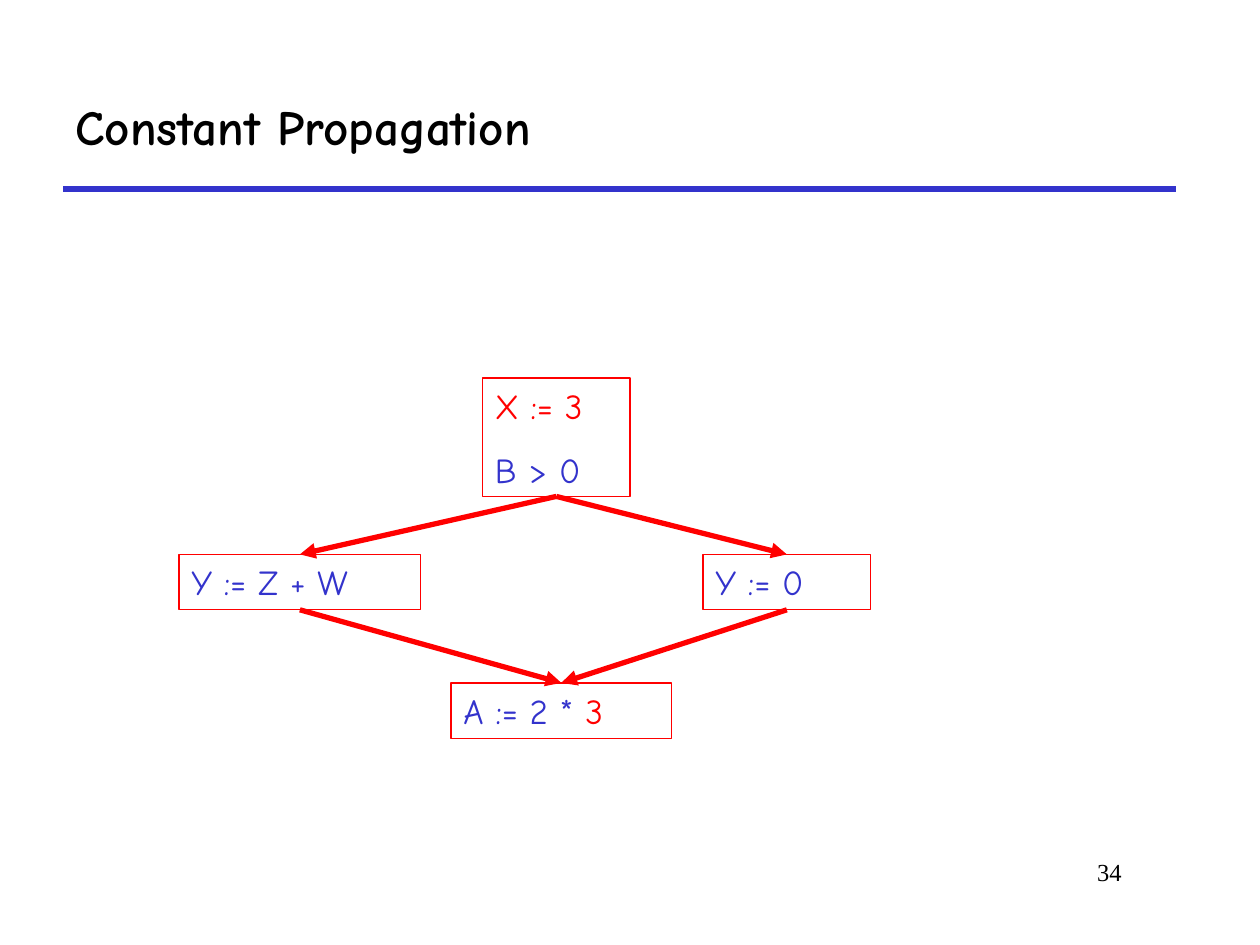
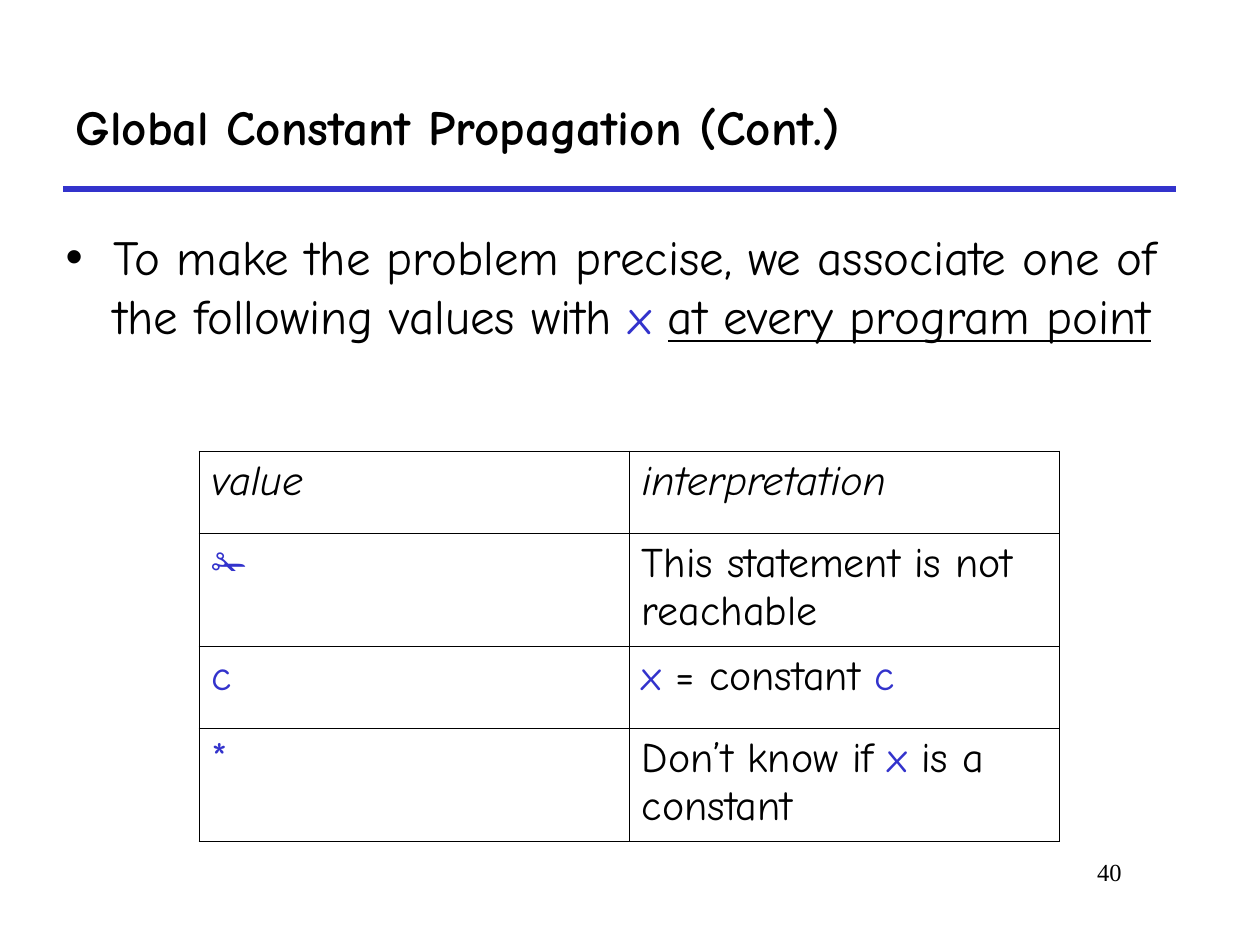
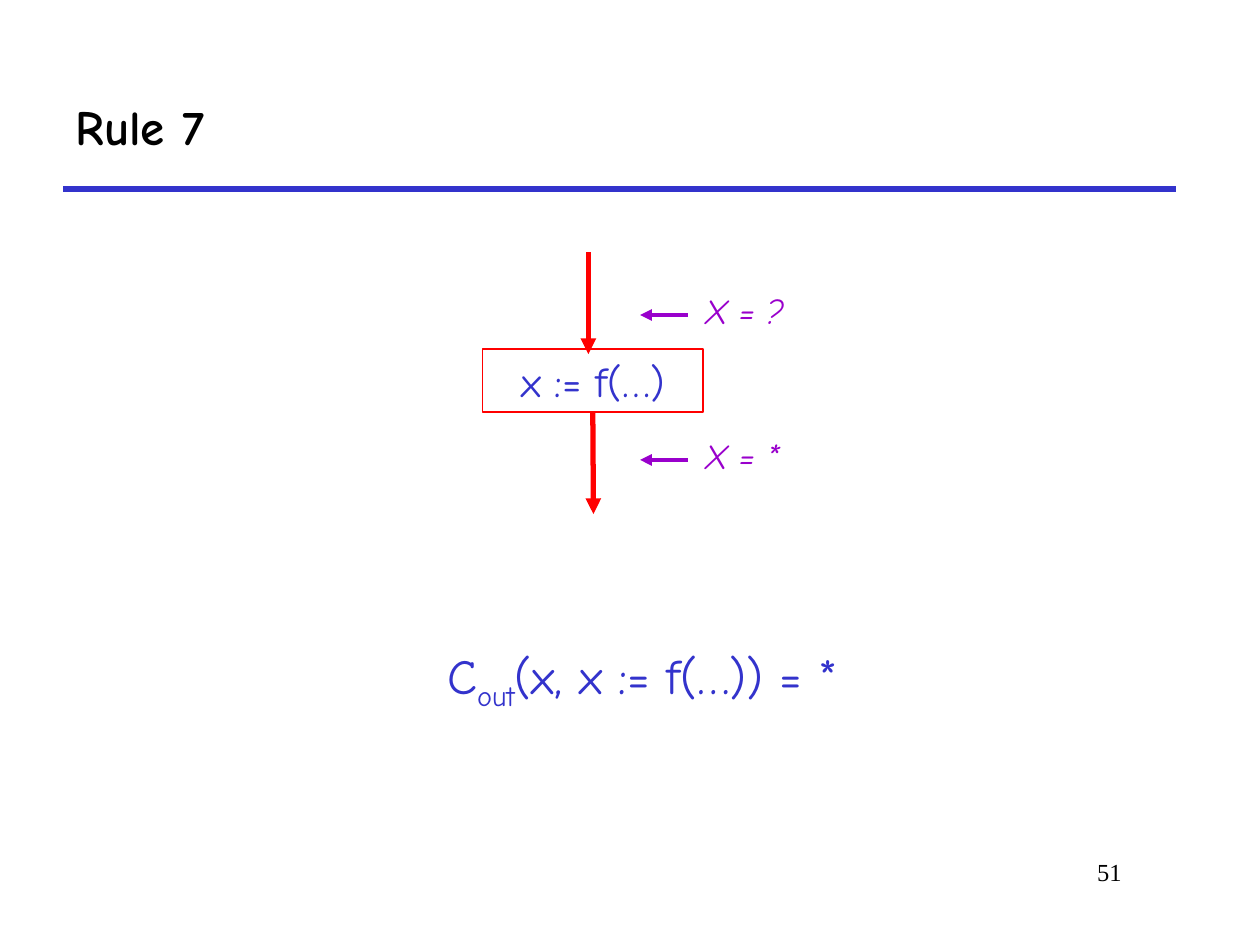
from lxml.etree import SubElement
from pptx import Presentation
from pptx.dml.color import RGBColor
from pptx.enum.shapes import MSO_CONNECTOR, MSO_SHAPE
from pptx.enum.text import MSO_ANCHOR, MSO_AUTO_SIZE, PP_ALIGN
from pptx.oxml.ns import qn
from pptx.util import Inches, Pt

BLACK = RGBColor(0x00, 0x00, 0x00)
BLUE = RGBColor(0x33, 0x33, 0xCC)
RED = RGBColor(0xFF, 0x00, 0x00)
PURPLE = RGBColor(0x99, 0x00, 0xCC)
BODY_FONT = "Comic Neue"
NUMBER_FONT = "Times New Roman"
SYMBOL_FONT = "Calibri"
TITLE_ONLY, TITLE_AND_BODY = 5, 1
TOP, BOTTOM = 0, 2


def format_span(span, size=20, font=BODY_FONT, color=BLACK, bold=False,
                italic=False, underline=False, baseline=0):
    span.font.size = Pt(size)
    span.font.name = font
    span.font.color.rgb = color
    span.font.bold = bold
    span.font.italic = italic
    span.font.underline = underline
    if baseline:
        span.font._element.set("baseline", str(baseline))


def write(frame, *lines, align=PP_ALIGN.LEFT, gap=0, bullet=None, indent=0,
          anchor=MSO_ANCHOR.TOP, fit=MSO_AUTO_SIZE.NONE, **style):
    frame.word_wrap = True
    frame.auto_size = fit
    frame.vertical_anchor = anchor
    for number, line in enumerate(lines):
        para = frame.add_paragraph() if number else frame.paragraphs[0]
        properties = para._p.get_or_add_pPr()
        properties.set("marL", str(Inches(indent)))
        properties.set("indent", str(-Inches(indent)))
        if bullet:
            SubElement(properties, qn("a:buChar"), char=bullet)
        else:
            SubElement(properties, qn("a:buNone"))
        para.alignment = align
        para.space_before = Pt(gap if number else 0)
        for part in [line] if isinstance(line, str) else line:
            text, changes = (part, {}) if isinstance(part, str) else part
            span = para.add_run()
            span.text = text
            format_span(span, **{**style, **changes})


def place(shape, left, top, width, height):
    shape.left, shape.top = Inches(left), Inches(top)
    shape.width, shape.height = Inches(width), Inches(height)


def add_line(canvas, start, end, color, weight=3, arrow=True):
    line = canvas.add_connector(MSO_CONNECTOR.STRAIGHT,
                                *[Inches(value) for value in (*start, *end)])
    line.line.color.rgb = color
    line.line.width = Pt(weight)
    if arrow:
        SubElement(line.line._get_or_add_ln(), qn("a:tailEnd"), type="triangle")
    SubElement(line.element.spPr, qn("a:effectLst"))
    return line


def add_text(canvas, box, *lines, **style):
    label = canvas.add_textbox(*[Inches(value) for value in box])
    write(label.text_frame, *lines, **style)


def add_statement(page, box, *lines, **style):
    statement = page.shapes.add_shape(MSO_SHAPE.RECTANGLE,
                                      *[Inches(value) for value in box])
    statement.shadow.inherit = False
    statement.fill.background()
    statement.line.color.rgb = RED
    statement.line.width = Pt(0.75)
    write(statement.text_frame, *lines, fit=MSO_AUTO_SIZE.SHAPE_TO_FIT_TEXT,
          **{"color": BLUE, "gap": 12.5, **style})
    return statement


def add_page(deck, layout, title, number):
    page = deck.slides.add_slide(deck.slide_layouts[layout])
    place(page.shapes.title, 0.5, 0.5, 8.83, 1)
    write(page.shapes.title.text_frame, title, size=28, bold=True,
          anchor=MSO_ANCHOR.MIDDLE)
    add_text(page.shapes, (6.92, 6.75, 2.08, 0.5), number, size=14,
             font=NUMBER_FONT, align=PP_ALIGN.RIGHT)
    return page


def add_master_rule(deck, page):
    rule = add_line(page.shapes, (0.5, 1.5), (9.33, 1.5), BLUE, arrow=False)
    deck.slide_master.shapes.element.append(rule.element)


def add_flow_graph(page, left, top):
    branch = add_statement(page, (left + 2.41, top, 1.17, 0.94),
                           [("X := 3", {"color": RED})], "B > 0")
    sides = [add_statement(page, (left + offset, top + 1.4, width, 0.44), text)
             for offset, width, text in ((0, 1.92, "Y := Z + W"),
                                         (4.16, 1.33, "Y := 0"))]
    join = add_statement(page, (left + 2.16, top + 2.42, 1.75, 0.44),
                         ["A := 2 * ", ("3", {"color": RED})])
    for source, target in ([(branch, side) for side in sides]
                           + [(side, join) for side in sides]):
        arrow = add_line(page.shapes, (left, top), (left, top), RED)
        arrow.begin_connect(source, BOTTOM)
        arrow.end_connect(target, TOP)


def add_border(cell):
    properties = cell._tc.get_or_add_tcPr()
    for side in ("lnL", "lnR", "lnT", "lnB"):
        border = SubElement(properties, qn(f"a:{side}"), w=str(Pt(0.45)))
        fill = SubElement(border, qn("a:solidFill"))
        SubElement(fill, qn("a:srgbClr"), val=str(BLACK))


def add_value_table(page, left, top, width):
    blue = {"color": BLUE}
    italic = {"italic": True}
    rows = [
        (0.65, [("value", italic)], [("interpretation", italic)]),
        (0.9, [("✁", {"color": BLUE, "font": SYMBOL_FONT})],
         "This statement is not reachable"),
        (0.65, [("c", blue)], [("x", blue), " = constant ", ("c", blue)]),
        (0.9, [("*", blue)], ["Don’t know if", (" x", blue), " is a constant"]),
    ]
    height = sum(row[0] for row in rows)
    table = page.shapes.add_table(len(rows), 2, Inches(left), Inches(top),
                                  Inches(width), Inches(height)).table
    table.first_row = table.horz_banding = False
    for row, (row_height, *texts) in zip(table.rows, rows):
        row.height = Inches(row_height)
        for cell, text in zip(row.cells, texts):
            add_border(cell)
            cell.fill.background()
            write(cell.text_frame, text, size=24)


def add_state(page, left, top, text):
    group = page.shapes.add_group_shape().shapes
    add_text(group, (left + 0.42, top, 1.33, 0.44), text, size=20,
             color=PURPLE, italic=True, fit=MSO_AUTO_SIZE.SHAPE_TO_FIT_TEXT)
    add_line(group, (left + 0.38, top + 0.25), (left, top + 0.25), PURPLE, 2.25)


def add_transfer_diagram(page, left, top):
    call = add_statement(page, (left, top + 0.77, 1.75, 0.5), "x := f(…)",
                         size=24, align=PP_ALIGN.CENTER)
    leaving = add_line(page.shapes, (left + 0.88, top + 1.27),
                       (left + 0.88, top + 2.08), RED)
    leaving.begin_connect(call, BOTTOM)
    add_line(page.shapes, (left + 0.84, top), (left + 0.84, top + 0.81), RED)
    for offset, text in ((0.25, "X = ?"), (1.4, "X = *")):
        add_state(page, left + 1.25, top + offset, text)


def build_example(deck):
    page = add_page(deck, TITLE_ONLY, "Constant Propagation", "34")
    add_master_rule(deck, page)
    add_flow_graph(page, 1.42, 3)


def build_values(deck):
    page = add_page(deck, TITLE_AND_BODY,
                    "Global Constant Propagation (Cont.)", "40")
    body = page.placeholders[1]
    place(body, 0.42, 1.75, 9.17, 1.58)
    write(body.text_frame,
          ["To make the problem precise, we associate one of "
           "the following values with ", ("x ", {"color": BLUE}),
           ("at every program point", {"underline": True})],
          size=28, bullet="•", indent=0.38)
    add_value_table(page, 1.58, 3.58, 6.83)


def build_rule(deck):
    page = add_page(deck, TITLE_AND_BODY, "Rule 7", "51")
    body = page.placeholders[1]
    place(body, 0.5, 4.5, 9.08, 2.08)
    body.text_frame.margin_top = Inches(0.62)
    body.text_frame.margin_left = Inches(0.22)
    write(body.text_frame,
          ["C", ("out", {"baseline": -25000}), "(x, x := f(…)) = *"],
          size=28, color=BLUE, align=PP_ALIGN.CENTER)
    add_transfer_diagram(page, 3.83, 2)


def main():
    deck = Presentation()
    deck.slide_width, deck.slide_height = Inches(10), Inches(7.5)
    build_example(deck)
    build_values(deck)
    build_rule(deck)
    deck.save("out.pptx")


if __name__ == "__main__":
    main()
